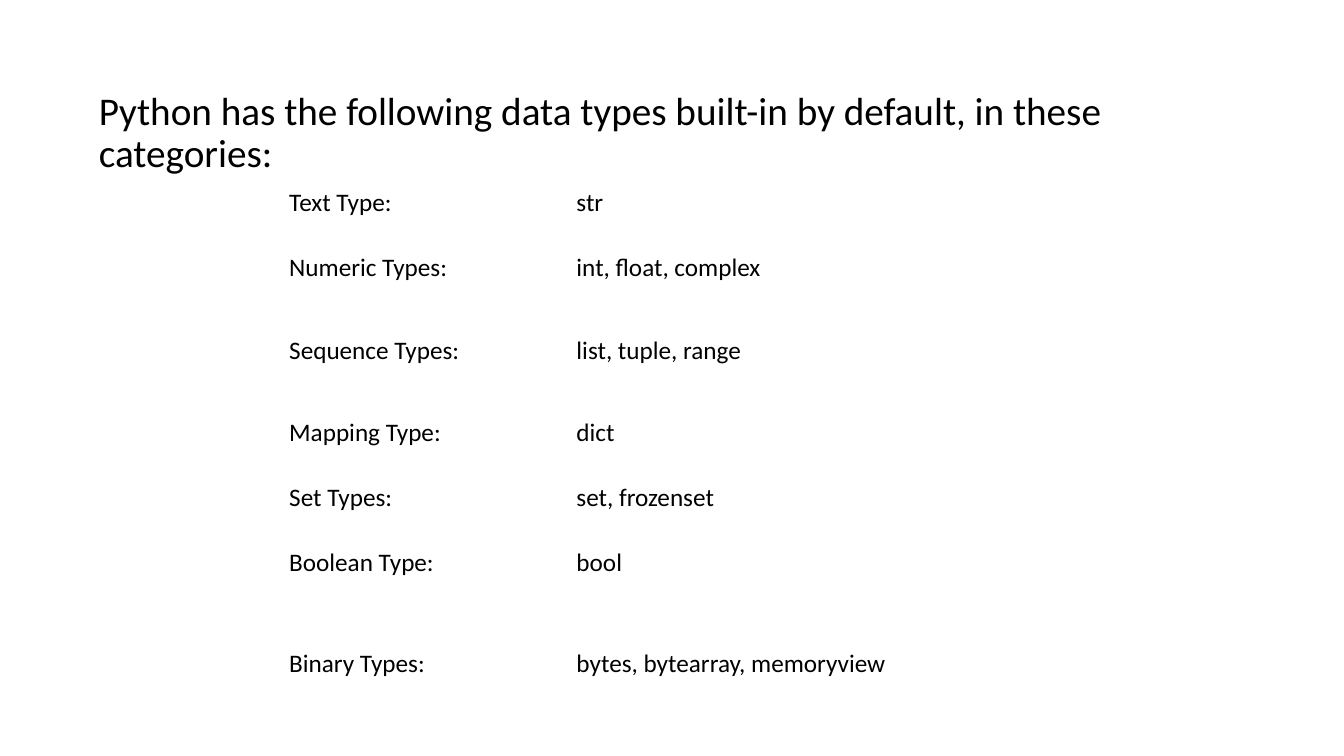
from dataclasses import dataclass

from pptx import Presentation
from pptx.dml.color import RGBColor
from pptx.enum.text import MSO_ANCHOR, MSO_AUTO_SIZE, PP_ALIGN
from pptx.slide import Slide
from pptx.table import _Cell
from pptx.text.text import Font
from pptx.util import Pt

HEADING = "Python has the following data types built-in by default, in these categories:"
HEADING_FORMAT = {"word_wrap": True, "auto_size": MSO_AUTO_SIZE.NONE,
                  "vertical_anchor": MSO_ANCHOR.TOP}
HEADING_PARAGRAPH = {"alignment": PP_ALIGN.LEFT, "line_spacing": 0.9,
                     "space_before": Pt(10)}
TABLE_FLAGS = {"first_row": False, "horz_banding": False}
COLUMN_WIDTHS = (205.2, 258.5)
LOW, MIDDLE, HIGH = 33.8, 59, 85


@dataclass(frozen=True)
class Category:
    label: str
    types: str
    height: float


CATEGORIES = (
    Category("Text Type:", "str", LOW),
    Category("Numeric Types:", "int, float, complex", MIDDLE),
    Category("Sequence Types:", "list, tuple, range", MIDDLE),
    Category("Mapping Type:", "dict", MIDDLE),
    Category("Set Types:", "set, frozenset", LOW),
    Category("Boolean Type:", "bool", MIDDLE),
    Category("Binary Types:", "bytes, bytearray, memoryview", HIGH),
)


def apply(target: object, values: dict) -> None:
    """Set each named attribute of the target."""
    for name, value in values.items():
        setattr(target, name, value)


def color(hex_value: str) -> RGBColor:
    return RGBColor.from_string(hex_value)


def format_font(font: Font, size: float) -> None:
    apply(font, {"name": "Calibri", "size": Pt(size), "bold": False})
    font.color.rgb = color("000000")


def add_heading(slide: Slide) -> None:
    heading = slide.shapes.title
    apply(heading, {"left": Pt(63.4), "top": Pt(61.9),
                    "width": Pt(833), "height": Pt(357.1)})
    frame = heading.text_frame
    frame.text = HEADING
    apply(frame, HEADING_FORMAT)
    paragraph = frame.paragraphs[0]
    apply(paragraph, HEADING_PARAGRAPH)
    format_font(paragraph.runs[0].font, 28)


def fill_cell(cell: _Cell, text: str) -> None:
    cell.text = text
    cell.vertical_anchor = MSO_ANCHOR.MIDDLE
    cell.fill.background()
    format_font(cell.text_frame.paragraphs[0].runs[0].font, 18)


def add_categories(slide: Slide) -> None:
    height = sum(category.height for category in CATEGORIES)
    table = slide.shapes.add_table(
        len(CATEGORIES), len(COLUMN_WIDTHS), Pt(199.4), Pt(128.2),
        Pt(sum(COLUMN_WIDTHS)), Pt(height)).table
    apply(table, TABLE_FLAGS)
    for column, width in zip(table.columns, COLUMN_WIDTHS):
        column.width = Pt(width)
    for row, category in zip(table.rows, CATEGORIES):
        row.height = Pt(category.height)
        for cell, text in zip(row.cells, (category.label, category.types)):
            fill_cell(cell, text)


def main() -> None:
    presentation = Presentation()
    apply(presentation, {"slide_width": Pt(960), "slide_height": Pt(540)})
    slide = presentation.slides.add_slide(
        presentation.slide_layouts.get_by_name("Title Only"))
    add_heading(slide)
    add_categories(slide)
    presentation.save("out.pptx")


if __name__ == "__main__":
    main()
